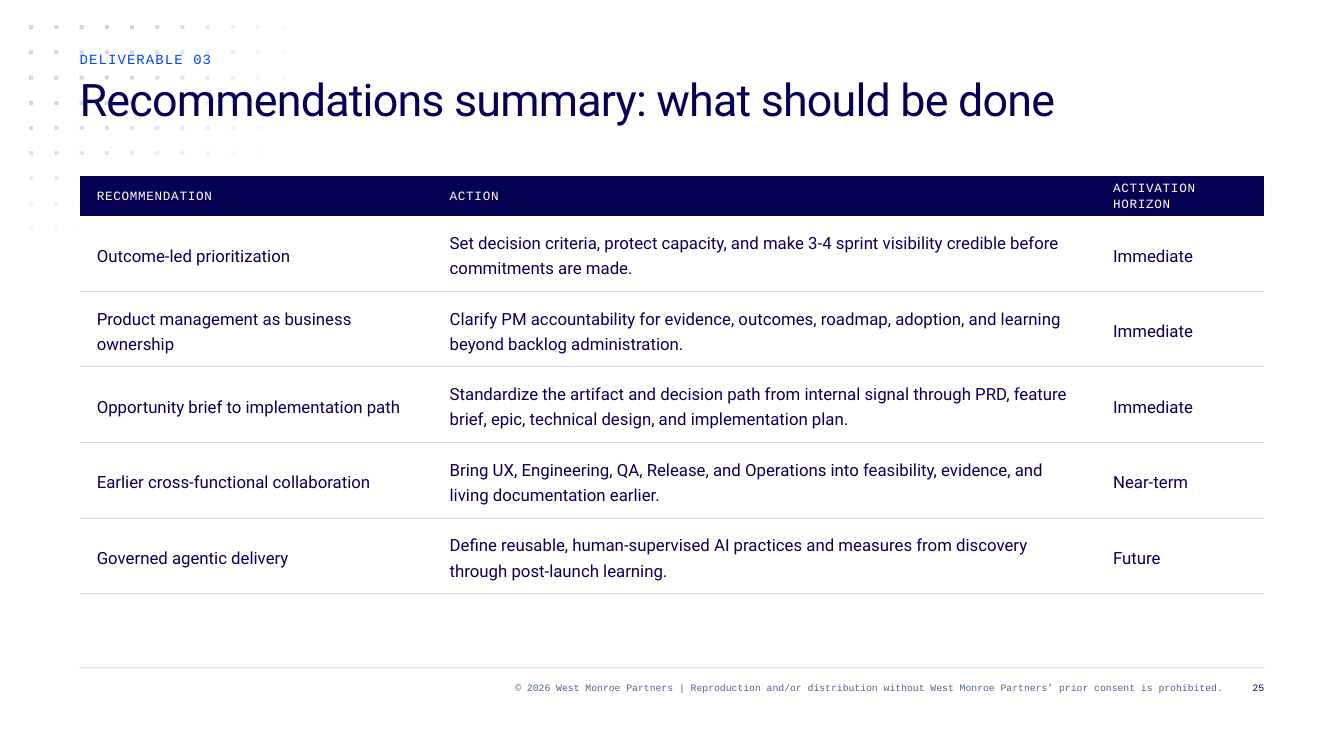
from math import hypot

from lxml import etree
from pptx import Presentation
from pptx.dml.color import RGBColor
from pptx.enum.shapes import MSO_SHAPE
from pptx.enum.text import MSO_ANCHOR, PP_ALIGN
from pptx.oxml.ns import qn
from pptx.util import Inches, Pt

RECT = MSO_SHAPE.RECTANGLE
MIDDLE = MSO_ANCHOR.MIDDLE
LEFT, RIGHT = PP_ALIGN.LEFT, PP_ALIGN.RIGHT

# Content
COLORS = {"navy": "070154", "blue": "0047FF", "mist": "CED7E6",
          "slate": "50658E", "white": "FFFFFF"}
MONO, SANS = "Courier New", "Roboto"
PLAIN_STYLE = "{2D5ABB26-0587-4C30-8999-92F81FD0307C}"

# Style: size, font, colour, letter spacing, line height
STYLES = {
    "label": (10, MONO, "blue", 0.8, 12),
    "title": (32, SANS, "navy", -0.6, 36),
    "head": (9, MONO, "white", 0.5, 12),
    "body": (12, SANS, "navy", 0, 18),
    "legal": (7, MONO, "slate", 0, 9),
    "page": (7, MONO, "navy", 0, 9),
}
# Text, style, box, alignment
TEXTS = [
    ("© 2026 West Monroe Partners | Reproduction and/or distribution without "
     "West Monroe Partners’ prior consent is prohibited.",
     "legal", (2.38, 6.75, 9.75, 0.25), RIGHT),
    ("25", "page", (12.21, 6.75, 0.33, 0.25), RIGHT),
    ("Recommendations summary: what should be done",
     "title", (0.79, 0.75, 10.25, 1), LEFT),
    ("DELIVERABLE 03", "label", (0.79, 0.5, 10.25, 0.25), LEFT),
]
WIDTHS = [3.5, 6.58, 1.67]
HEAD_H, ROW_H = 0.39, 0.75
ROWS = [
    ("RECOMMENDATION", "ACTION", "ACTIVATION HORIZON"),
    ("Outcome-led prioritization",
     "Set decision criteria, protect capacity, and make 3-4 sprint visibility "
     "credible before commitments are made.", "Immediate"),
    ("Product management as business ownership",
     "Clarify PM accountability for evidence, outcomes, roadmap, adoption, and "
     "learning beyond backlog administration.", "Immediate"),
    ("Opportunity brief to implementation path",
     "Standardize the artifact and decision path from internal signal through "
     "PRD, feature brief, epic, technical design, and implementation plan.",
     "Immediate"),
    ("Earlier cross-functional collaboration",
     "Bring UX, Engineering, QA, Release, and Operations into feasibility, "
     "evidence, and living documentation earlier.", "Near-term"),
    ("Governed agentic delivery",
     "Define reusable, human-supervised AI practices and measures from "
     "discovery through post-launch learning.", "Future"),
]

deck = Presentation()
deck.slide_width, deck.slide_height = Inches(13.33), Inches(7.5)
slide = deck.slides.add_slide(deck.slide_layouts[6])
shapes = slide.shapes


def rgb(name):
    return RGBColor.from_string(COLORS[name])


def write(frame, text, style, align=LEFT):
    size, font, color, gap, lead = STYLES[style]
    frame.word_wrap = True
    frame.text = text
    para = frame.paragraphs[0]
    para.alignment, para.line_spacing = align, Pt(lead)
    run = para.runs[0]
    run.font.size, run.font.name = Pt(size), font
    run.font.color.rgb = rgb(color)
    run._r.get_or_add_rPr().set("spc", str(round(gap * 100)))


def block(x, y, w, h, alpha=100):
    box = shapes.add_shape(RECT, *map(Inches, (x, y, w, h)))
    box.shadow.inherit = False
    box.line.fill.background()
    box.fill.solid()
    box.fill.fore_color.rgb = rgb("mist")
    if alpha < 100:
        tint = box._element.spPr.find(qn("a:solidFill"))[0]
        etree.SubElement(tint, qn("a:alpha")).set("val", str(alpha * 1000))


def rule_below(cell):
    props = cell._tc.get_or_add_tcPr()
    line = etree.Element(qn("a:lnB"), w=str(Pt(0.75)))
    fill = etree.SubElement(line, qn("a:solidFill"))
    etree.SubElement(fill, qn("a:srgbClr")).set("val", COLORS["mist"])
    props.insert(0, line)


# Footer rule
block(0.79, 6.62, 11.75, 0.01)

# Dot field, fading out along an ellipse
STEP, DOT = 0.25, 0.04
for col in range(11):
    for row in range(9):
        alpha = round(153 * (1 - hypot(col / 11.08, row / 9.07)))
        if alpha > 1:
            block(0.29 + col * STEP, 0.25 + row * STEP, DOT, DOT, alpha)

# Headings and footer
for text, style, place, align in TEXTS:
    frame = shapes.add_textbox(*map(Inches, place)).text_frame
    frame.margin_left = frame.margin_right = 0
    frame.margin_top = frame.margin_bottom = 0
    write(frame, text, style, align)

# Recommendations table
height = HEAD_H + ROW_H * (len(ROWS) - 1)
table = shapes.add_table(len(ROWS), len(WIDTHS), Inches(0.79), Inches(1.75),
                         Inches(sum(WIDTHS)), Inches(height)).table
table.horz_banding = False
table._tbl.tblPr.find(qn("a:tableStyleId")).text = PLAIN_STYLE
for col, width in zip(table.columns, WIDTHS):
    col.width = Inches(width)
for r, row in enumerate(ROWS):
    table.rows[r].height = Inches(ROW_H if r else HEAD_H)
    for c, text in enumerate(row):
        cell = table.cell(r, c)
        cell.margin_left = cell.margin_right = Inches(0.17)
        cell.margin_top = cell.margin_bottom = 0
        cell.vertical_anchor = MIDDLE
        cell.fill.solid()
        cell.fill.fore_color.rgb = rgb("white" if r else "navy")
        write(cell.text_frame, text, "body" if r else "head")
        if r:
            rule_below(cell)

deck.save("out.pptx")
